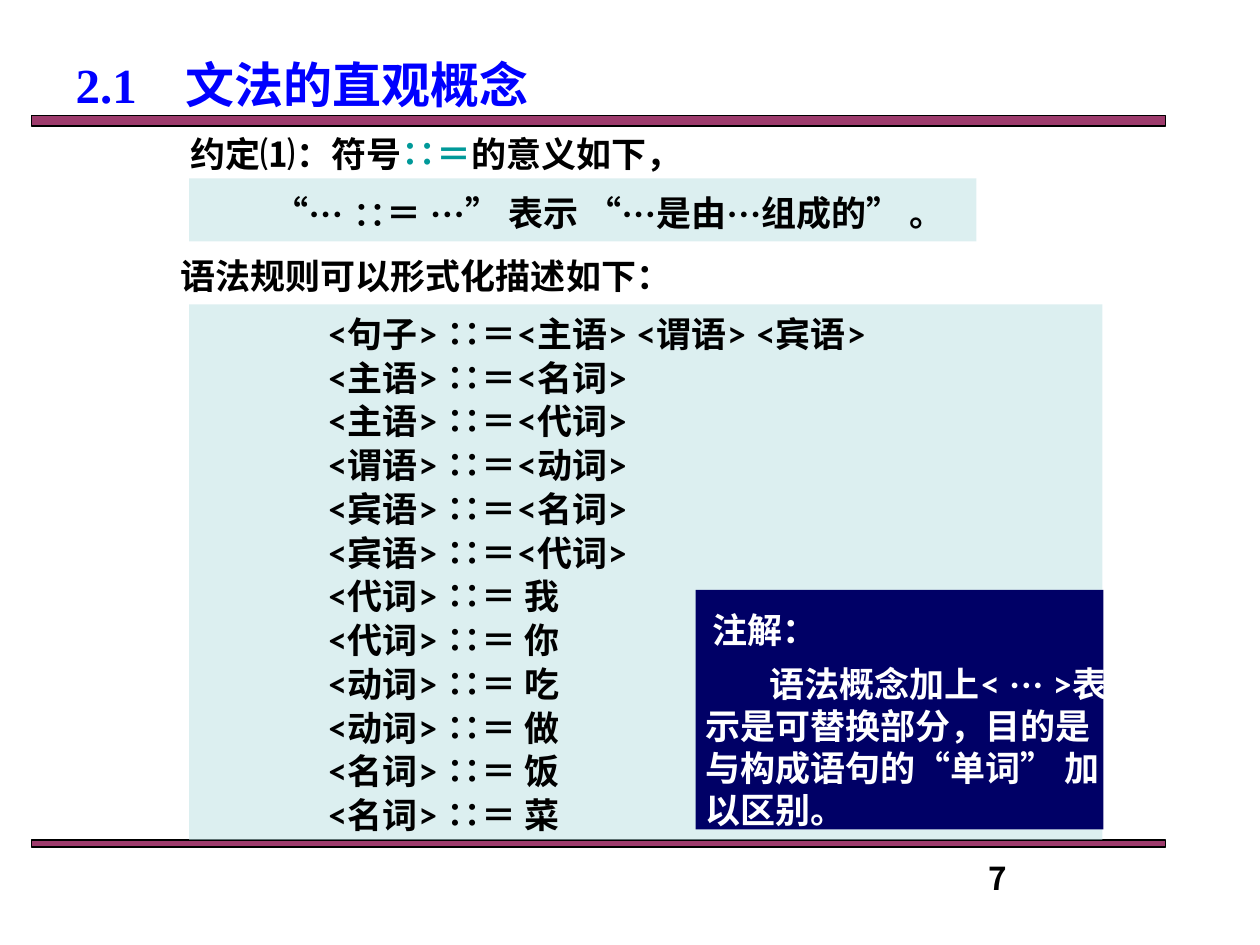
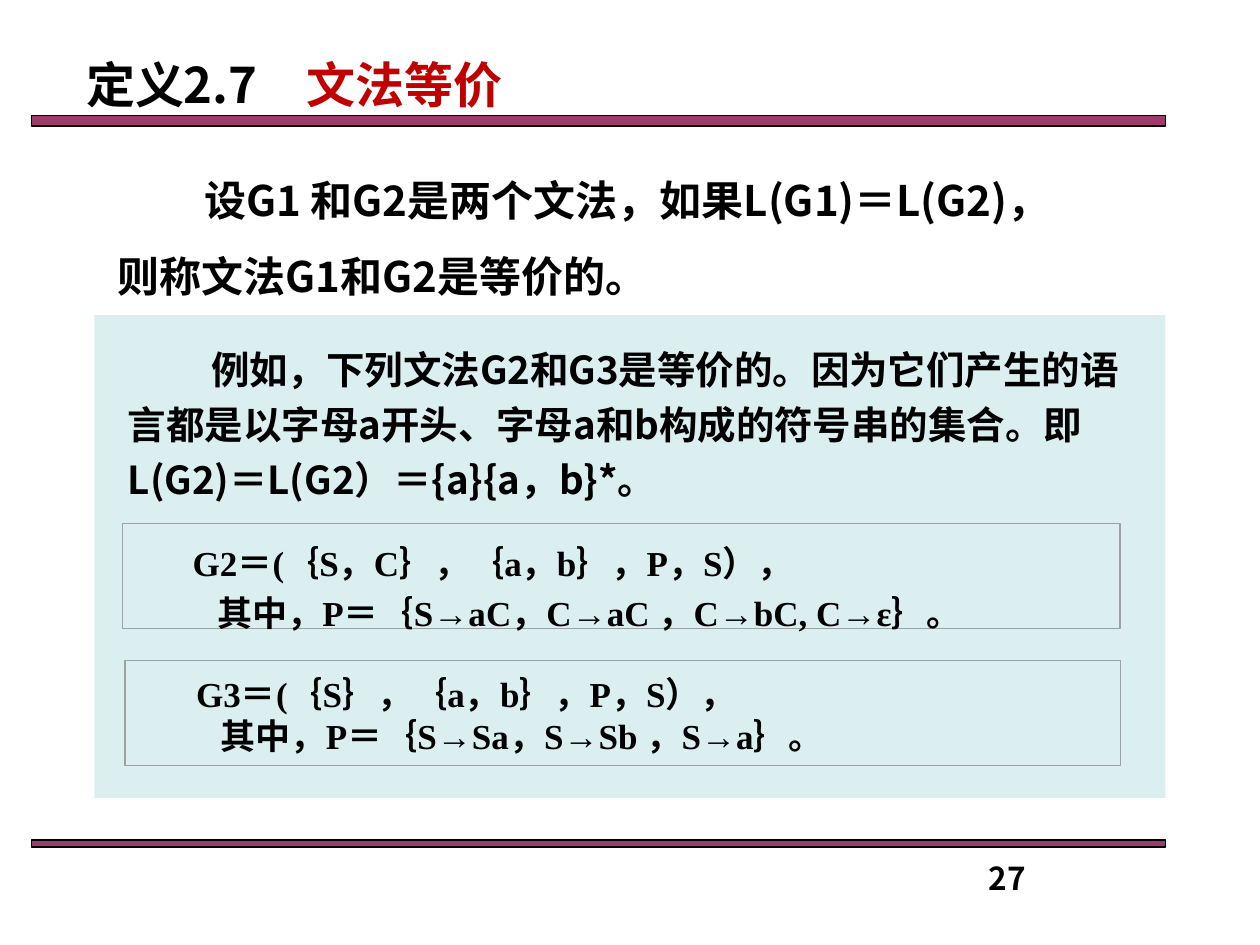
from dataclasses import dataclass
from pptx import Presentation
from pptx.dml.color import RGBColor
from pptx.enum.shapes import MSO_SHAPE
from pptx.enum.text import MSO_ANCHOR, MSO_AUTO_SIZE, PP_ALIGN
from pptx.oxml.ns import qn
from pptx.util import Pt

RECT = MSO_SHAPE.RECTANGLE
TOP = MSO_ANCHOR.TOP
FIXED = MSO_AUTO_SIZE.NONE
LEFT, MID, JUST = PP_ALIGN.LEFT, PP_ALIGN.CENTER, PP_ALIGN.JUSTIFY


@dataclass(frozen=True)
class Theme:
    lato: str = "Lato"
    noto: str = "Noto Sans CJK SC"
    times: str = "Times New Roman"
    black: str = "000000"
    white: str = "FFFFFF"
    blue: str = "0000FF"
    red: str = "C00000"
    teal: str = "009999"
    navy: str = "000066"
    plum: str = "993366"
    pale: str = "BBE0E3"
    gray: str = "A0A0A0"
    head: int = 28
    lead: int = 24
    body: int = 22
    text: int = 20
    page: int = 18


T = Theme()
BANDS = [(18, 66, 648, 6), (18, 480, 648, 4)]
SIGN = "∷＝"

RULES = [
    ("句子", "<主语> <谓语> <宾语>"),
    ("主语", "<名词>"),
    ("主语", "<代词>"),
    ("谓语", "<动词>"),
    ("宾语", "<名词>"),
    ("宾语", "<代词>"),
    ("代词", " 我"),
    ("代词", " 你"),
    ("动词", " 吃"),
    ("动词", " 做"),
    ("名词", " 饭"),
    ("名词", " 菜"),
]
PACT = [("约定⑴：符号",), (SIGN, None, T.teal), ("的意义如下，",)]
MEANS = "“··· ∷＝ ···” 表示 “···是由···组成的” 。"
INTRO = "语法规则可以形式化描述如下："
LABEL = "注解："
NOTE = [
    ("语法概念加上< ",),
    ("···", T.times),
    (" >表示是可替换部分，目的是与构成语句的",),
    ("“", T.times),
    ("单词",),
    ("”", T.times),
    (" 加以区别。",),
]
CLAIM = "设G1 和G2是两个文法，如果L(G1)＝L(G2)，则称文法G1和G2是等价的。"
CASE = ("例如，下列文法G2和G3是等价的。因为它们产生的语言都是以字母a开头、"
        "字母a和b构成的符号串的集合。即L(G2)＝L(G2）＝{a}{a，b}*。")
GRAMS = [
    ((70, 299, 570, 60), (82, 301, 544, 60), 28.8,
     "G2＝(｛S，C｝，｛a，b｝，P，S），",
     "其中，P＝｛S→aC，C→aC ，C→bC, C→ε｝。"),
    ((71.5, 377.5, 569, 60), (84, 380.5, 544, 60), 24,
     "G3＝(｛S｝，｛a，b｝，P，S），",
     "其中，P＝｛S→Sa，S→Sb ，S→a｝。"),
]


def color(name):
    return RGBColor.from_string(name)


def box(slide, area, fill=None, alpha=100, line=None):
    rect = slide.shapes.add_shape(RECT, *map(Pt, area))
    rect.shadow.inherit = False
    if fill:
        rect.fill.solid()
        rect.fill.fore_color.rgb = color(fill)
        tint = rect.fill._xPr.find(".//" + qn("a:srgbClr"))
        if alpha < 100:
            tint.makeelement(qn("a:alpha"), {})
            mark = tint.makeelement(qn("a:alpha"), {"val": str(alpha * 1000)})
            tint.append(mark)
    else:
        rect.fill.background()
    if line:
        rect.line.color.rgb = color(line)
        rect.line.width = Pt(0.75)
    else:
        rect.line.fill.background()


def style(para, runs, face, size, pitch, hue=T.black, dent=0, align=LEFT, gap=0):
    if isinstance(runs, str):
        runs = [(runs,)]
    para.alignment = align
    para.line_spacing = Pt(pitch)
    para.space_before = Pt(gap)
    props = para._p.get_or_add_pPr()
    props.set("marL", "0")
    props.set("indent", str(Pt(dent)))
    font = para.font
    font.name, font.size, font.bold = face, Pt(size), True
    font.color.rgb = color(hue)
    base = props.find(qn("a:defRPr"))
    base.append(base.makeelement(qn("a:ea"), {"typeface": T.noto}))
    for words, *look in runs:
        run = para.add_run()
        run.text = words
        own, tone = (look + [None, None])[:2]
        if own:
            run.font.name = own
        if tone:
            run.font.color.rgb = color(tone)


def write(slide, area, *paras):
    frame = slide.shapes.add_textbox(*map(Pt, area)).text_frame
    frame.word_wrap = True
    for i, args in enumerate(paras):
        para = frame.add_paragraph() if i else frame.paragraphs[0]
        style(para, **args)


def start(deck, left, runs, face, hue, page):
    slide = deck.slides.add_slide(deck.slide_layouts[5])
    for area in BANDS:
        box(slide, area, T.plum, 96, T.black)
    title = slide.shapes.title
    title.left, title.top, title.width, title.height = map(Pt, (left, 27, 400, 41))
    frame = title.text_frame
    frame.auto_size, frame.vertical_anchor = FIXED, TOP
    style(frame.paragraphs[0], runs, face, T.head, 34, hue)
    write(slide, (558, 487, 100, 30),
          dict(runs=page, face=T.noto, size=T.page, pitch=22))
    return slide


def rules(deck):
    slide = start(deck, 36, "2.1　文法的直观概念", T.times, T.blue, "7")
    box(slide, (108, 174, 522, 306), T.pale, 50)
    box(slide, (108, 102, 450, 36), T.pale, 50)
    write(slide, (180, 174, 372, 308), *[
        dict(runs=[(f"<{name}> ",), (SIGN, T.noto), (form,)],
             face=T.lato, size=T.text, pitch=25)
        for name, form in RULES])
    plain = dict(face=T.times, size=T.text, pitch=24)
    write(slide, (102, 72, 492, 66), dict(plain, runs=PACT),
          dict(plain, runs=MEANS, align=MID, gap=10))
    write(slide, (96, 142, 342, 31), dict(plain, runs=INTRO, face=T.noto))
    box(slide, (397.5, 337, 233, 137), T.navy)
    light = dict(plain, face=T.lato, hue=T.white)
    write(slide, (396, 375, 246, 103), dict(light, runs=NOTE, dent=36.7))
    write(slide, (400, 344, 90, 31), dict(light, runs=LABEL))


def equal(deck):
    runs = [("定义2.7　",), ("文法等价", None, T.red)]
    slide = start(deck, 42, runs, T.noto, T.black, "27")
    box(slide, (54, 180, 612, 276), T.pale, 50)
    write(slide, (60, 82, 564, 94),
          dict(runs=CLAIM, face=T.noto, size=T.lead, pitch=43.2, dent=49.7))
    write(slide, (66, 189, 589, 102),
          dict(runs=CASE, face=T.noto, size=T.body, pitch=31.5, dent=47.5))
    for edge, area, pitch, head, tail in GRAMS:
        box(slide, edge, line=T.gray)
        plain = dict(face=T.times, size=T.text, pitch=pitch, align=JUST)
        write(slide, area, dict(plain, runs=head, dent=21),
              dict(plain, runs=tail, dent=35))


def main():
    deck = Presentation()
    deck.slide_width, deck.slide_height = Pt(720), Pt(540)
    rules(deck)
    equal(deck)
    deck.save("out.pptx")


if __name__ == "__main__":
    main()
